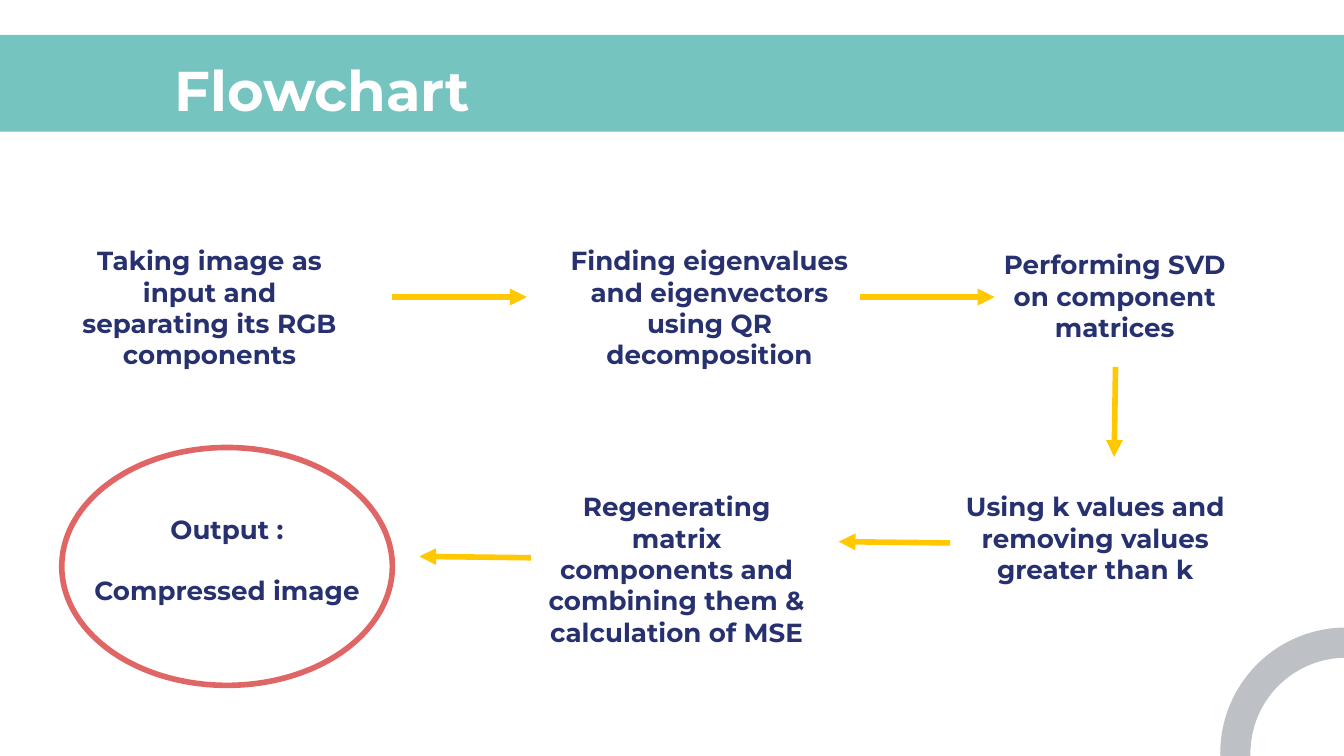
from dataclasses import dataclass

from lxml import etree
from pptx import Presentation
from pptx.dml.color import RGBColor
from pptx.enum.shapes import MSO_CONNECTOR, MSO_SHAPE
from pptx.enum.text import MSO_ANCHOR, MSO_AUTO_SIZE, PP_ALIGN
from pptx.oxml.ns import qn
from pptx.slide import Slide
from pptx.text.text import TextFrame
from pptx.util import Inches, Pt

STRAIGHT = MSO_CONNECTOR.STRAIGHT
RECTANGLE = MSO_SHAPE.RECTANGLE
BLOCK_ARC = MSO_SHAPE.BLOCK_ARC
OVAL = MSO_SHAPE.OVAL
TOP = MSO_ANCHOR.TOP
NO_AUTOFIT = MSO_AUTO_SIZE.NONE
LEFT = PP_ALIGN.LEFT
CENTER = PP_ALIGN.CENTER
TITLE_ONLY = 5


@dataclass(frozen=True)
class Theme:
    font: str = "Montserrat"
    band: str = "75C4C0"
    ring: str = "BDC1C6"
    title: str = "FFFFFF"
    text: str = "27316F"
    arrow: str = "FFC800"
    result: str = "E06666"
    title_size: int = 30
    text_size: int = 14
    paragraph_gap: int = 16
    line_width: int = 3
    inset: float = 0.1


@dataclass(frozen=True)
class Area:
    left: float
    top: float
    width: float
    height: float

    def lengths(self) -> tuple:
        return tuple(Inches(n) for n in (self.left, self.top, self.width, self.height))


@dataclass(frozen=True)
class Step:
    area: Area
    paragraphs: tuple[str, ...]


@dataclass(frozen=True)
class Arrow:
    start: tuple[float, float]
    end: tuple[float, float]


THEME = Theme()
TOP_ROW = 1.72
BOTTOM_ROW = 3.55
TOP_ARROW = 2.21

STEPS = (
    Step(Area(0.46, 3.72, 2.46, 0.98), ("Output :", "Compressed image")),
    Step(Area(3.95, BOTTOM_ROW, 2.17, 1.33),
         ("Regenerating matrix components and combining them & calculation of MSE",)),
    Step(Area(7.05, BOTTOM_ROW, 2.2, 1.19),
         ("Using k values and removing values greater than k",)),
    Step(Area(0.46, TOP_ROW, 2.2, 0.92),
         ("Taking image as input and separating its RGB components",)),
    Step(Area(4.05, TOP_ROW, 2.46, 0.98),
         ("Finding eigenvalues and eigenvectors using QR decomposition",)),
    Step(Area(7.28, 1.75, 2.03, 0.98), ("Performing SVD on component matrices",)),
)

ARROWS = (
    Arrow((2.92, TOP_ARROW), (3.92, TOP_ARROW)),
    Arrow((6.4, TOP_ARROW), (7.4, TOP_ARROW)),
    Arrow((8.3, 2.73), (8.29, 3.4)),
    Arrow((7.07, 4.04), (6.24, 4.03)),
    Arrow((3.95, 4.15), (3.12, 4.14)),
)


def color(value: str) -> RGBColor:
    return RGBColor.from_string(value)


def write_text(frame: TextFrame, paragraphs: tuple[str, ...], size: int,
               text_color: str, alignment: PP_ALIGN) -> None:
    frame.word_wrap = True
    frame.auto_size = NO_AUTOFIT
    frame.vertical_anchor = TOP
    frame.margin_left = frame.margin_right = Inches(THEME.inset)
    frame.margin_top = frame.margin_bottom = Inches(THEME.inset)
    frame.text = "\n".join(paragraphs)
    for index, para in enumerate(frame.paragraphs):
        para.alignment = alignment
        para.space_before = Pt(THEME.paragraph_gap if index else 0)
        para.font.name = THEME.font
        para.font.size = Pt(size)
        para.font.bold = True
        para.font.color.rgb = color(text_color)


def add_filled_shape(page: Slide, kind: MSO_SHAPE, area: Area, fill: str,
                     adjustments: tuple[float, ...] = ()) -> None:
    shape = page.shapes.add_shape(kind, *area.lengths())
    shape.shadow.inherit = False
    shape.fill.solid()
    shape.fill.fore_color.rgb = color(fill)
    shape.line.fill.background()
    for index, value in enumerate(adjustments):
        shape.adjustments[index] = value


def add_title(page: Slide, text: str, area: Area) -> None:
    title = page.shapes.title
    title.left, title.top, title.width, title.height = area.lengths()
    write_text(title.text_frame, (text,), THEME.title_size, THEME.title, LEFT)
    title.element.getparent().append(title.element)


def add_step(page: Slide, step: Step) -> None:
    box = page.shapes.add_textbox(*step.area.lengths())
    write_text(box.text_frame, step.paragraphs, THEME.text_size, THEME.text, CENTER)


def add_arrow(page: Slide, arrow: Arrow) -> None:
    points = (Inches(n) for n in arrow.start + arrow.end)
    connector = page.shapes.add_connector(STRAIGHT, *points)
    connector.line.color.rgb = color(THEME.arrow)
    connector.line.width = Pt(THEME.line_width)
    properties = connector.element.spPr
    etree.SubElement(properties.find(qn("a:ln")), qn("a:tailEnd"), type="triangle")
    etree.SubElement(properties, qn("a:effectLst"))


def add_result_outline(page: Slide, area: Area) -> None:
    outline = page.shapes.add_shape(OVAL, *area.lengths())
    outline.shadow.inherit = False
    outline.fill.background()
    outline.line.color.rgb = color(THEME.result)
    outline.line.width = Pt(THEME.line_width)


def main() -> None:
    deck = Presentation()
    deck.slide_width = Inches(10)
    deck.slide_height = deck.slide_width * 9 // 16
    page = deck.slides.add_slide(deck.slide_layouts[TITLE_ONLY])
    add_filled_shape(page, RECTANGLE, Area(-0.17, 0.26, 10.34, 0.72), THEME.band)
    add_filled_shape(page, BLOCK_ARC, Area(9.08, 4.67, 1.87, 1.87), THEME.ring,
                     (106.77, 163.22, 0.12))
    for step in STEPS:
        add_step(page, step)
    add_title(page, "Flowchart", Area(1.2, 0.31, 8.46, 0.63))
    for arrow in ARROWS:
        add_arrow(page, arrow)
    add_result_outline(page, Area(0.46, 3.33, 2.46, 1.77))
    deck.save("out.pptx")


if __name__ == "__main__":
    main()
